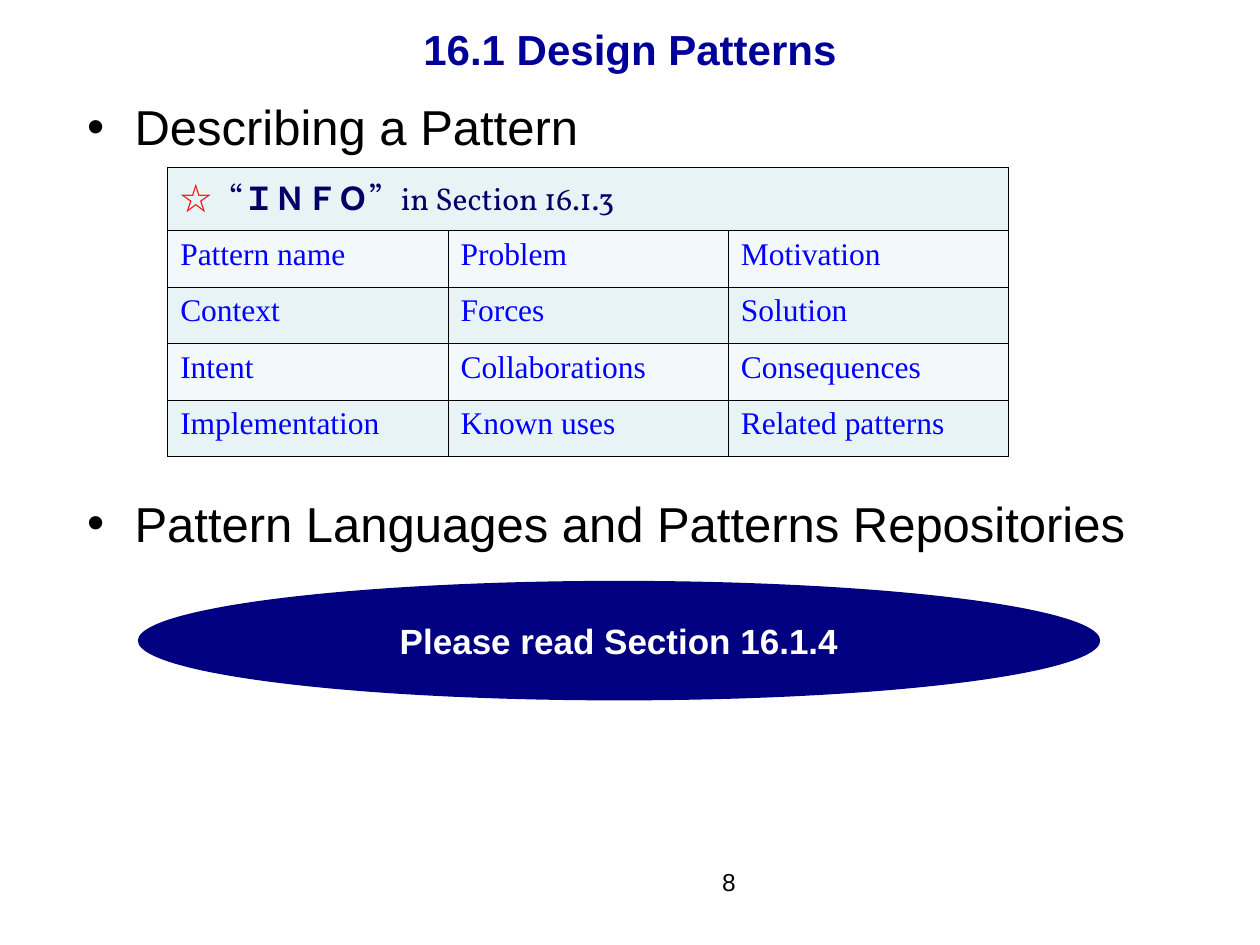
from lxml.etree import SubElement
from pptx import Presentation
from pptx.dml.color import RGBColor
from pptx.enum.shapes import MSO_SHAPE
from pptx.enum.text import MSO_ANCHOR, MSO_AUTO_SIZE, PP_ALIGN
from pptx.oxml import parse_xml
from pptx.oxml.ns import nsdecls, qn
from pptx.util import Cm, Pt

COLORS = {
    "black": "000000", "white": "FFFFFF", "title": "000099", "navy": "000066",
    "ellipse": "000080", "blue": "0000FF", "red": "FF0000",
    "dark band": "E7F3F4", "light band": "F3F9FA",
}


def color(name):
    return RGBColor.from_string(COLORS[name])


def add_text(para, text, size=18, font="Arial", fill="black", bold=False, align=None):
    """Append a formatted span to a paragraph."""
    if align is not None:
        para.alignment = align
    span = para.add_run()
    span.text = text
    span.font.size = Pt(size)
    span.font.name = font
    span.font.bold = bold
    span.font.color.rgb = color(fill)


deck = Presentation()
deck.slide_width, deck.slide_height = Cm(25.4), Cm(19.05)
page = deck.slides.add_slide(deck.slide_layouts[3])

# Title
title = page.shapes.title
title.left, title.top, title.width, title.height = Cm(1.78), Cm(-0.2), Cm(21.84), Cm(2.36)
title.text_frame.auto_size = MSO_AUTO_SIZE.NONE
title.text_frame.vertical_anchor = MSO_ANCHOR.MIDDLE
add_text(title.text_frame.paragraphs[0], "16.1 Design Patterns", size=24,
         fill="title", bold=True, align=PP_ALIGN.CENTER)

# Bulleted headings
headings = [(1, "Describing a Pattern", 1.7),
            (2, "Pattern Languages and Patterns Repositories", 9.7)]
for index, text, top in headings:
    body = page.placeholders[index]
    body.left, body.top, body.width, body.height = Cm(1.5), Cm(top), Cm(24.7), Cm(1.45)
    body.text_frame.auto_size = MSO_AUTO_SIZE.NONE
    body.text_frame.margin_top = Cm(0.25)
    para = body.text_frame.paragraphs[0]
    properties = para._p.get_or_add_pPr()
    properties.set("marL", str(Cm(0.96)))
    properties.set("indent", str(Cm(-0.96)))
    bullet_color = SubElement(properties, qn("a:buClr"))
    SubElement(bullet_color, qn("a:srgbClr"), val=COLORS["black"])
    SubElement(properties, qn("a:buFont"), typeface="Arial")
    SubElement(properties, qn("a:buChar"), char="•")
    para.space_before = Pt(0)
    add_text(para, text, size=28)

# Table of pattern elements
rows = [
    ["Pattern name", "Problem", "Motivation"],
    ["Context", "Forces", "Solution"],
    ["Intent", "Collaborations", "Consequences"],
    ["Implementation", "Known uses", "Related patterns"],
]
table = page.shapes.add_table(len(rows) + 1, 3, Cm(3.38), Cm(3.37), Cm(16.95), Cm(5.84)).table
table.first_row = table.horz_banding = False
for column in table.columns:
    column.width = Cm(5.65)
for number, row in enumerate(table.rows):
    row.height = Cm(1.14) if number else Cm(1.28)
    for cell in row.cells:
        cell.fill.solid()
        cell.fill.fore_color.rgb = color("light band" if number % 2 else "dark band")
        properties = cell._tc.get_or_add_tcPr()
        for position, side in enumerate(("lnL", "lnR", "lnT", "lnB")):
            properties.insert(position, parse_xml(
                f'<a:{side} {nsdecls("a")} w="{Pt(0.45)}"><a:solidFill>'
                f'<a:srgbClr val="{COLORS["black"]}"/></a:solidFill></a:{side}>'))

table.cell(0, 0).merge(table.cell(0, 2))
heading = table.cell(0, 0).text_frame.paragraphs[0]
for text, fill, bold in [("☆", "red", False), ("“", "navy", False),
                         ("ＩＮＦＯ", "navy", True), ("”in Section 16.1.3", "navy", False)]:
    add_text(heading, text, font="Vollkorn", fill=fill, bold=bold)
for number, names in enumerate(rows, start=1):
    for column, name in enumerate(names):
        add_text(table.cell(number, column).text_frame.paragraphs[0], name,
                 font="Times New Roman", fill="blue")

# Reading note
note = page.shapes.add_shape(MSO_SHAPE.OVAL, Cm(2.78), Cm(11.71), Cm(19.4), Cm(2.41))
note.shadow.inherit = False
note.fill.solid()
note.fill.fore_color.rgb = color("ellipse")
note.line.fill.background()
note.text_frame.word_wrap = False
note.text_frame.vertical_anchor = MSO_ANCHOR.MIDDLE
add_text(note.text_frame.paragraphs[0], "Please read Section 16.1.4", size=20,
         fill="white", bold=True, align=PP_ALIGN.CENTER)

# Page number
box = page.shapes.add_textbox(Cm(10.67), Cm(17.35), Cm(8.05), Cm(1.32))
box.text_frame.word_wrap = True
add_text(box.text_frame.paragraphs[0], "8", size=14, align=PP_ALIGN.CENTER)

deck.save("out.pptx")
